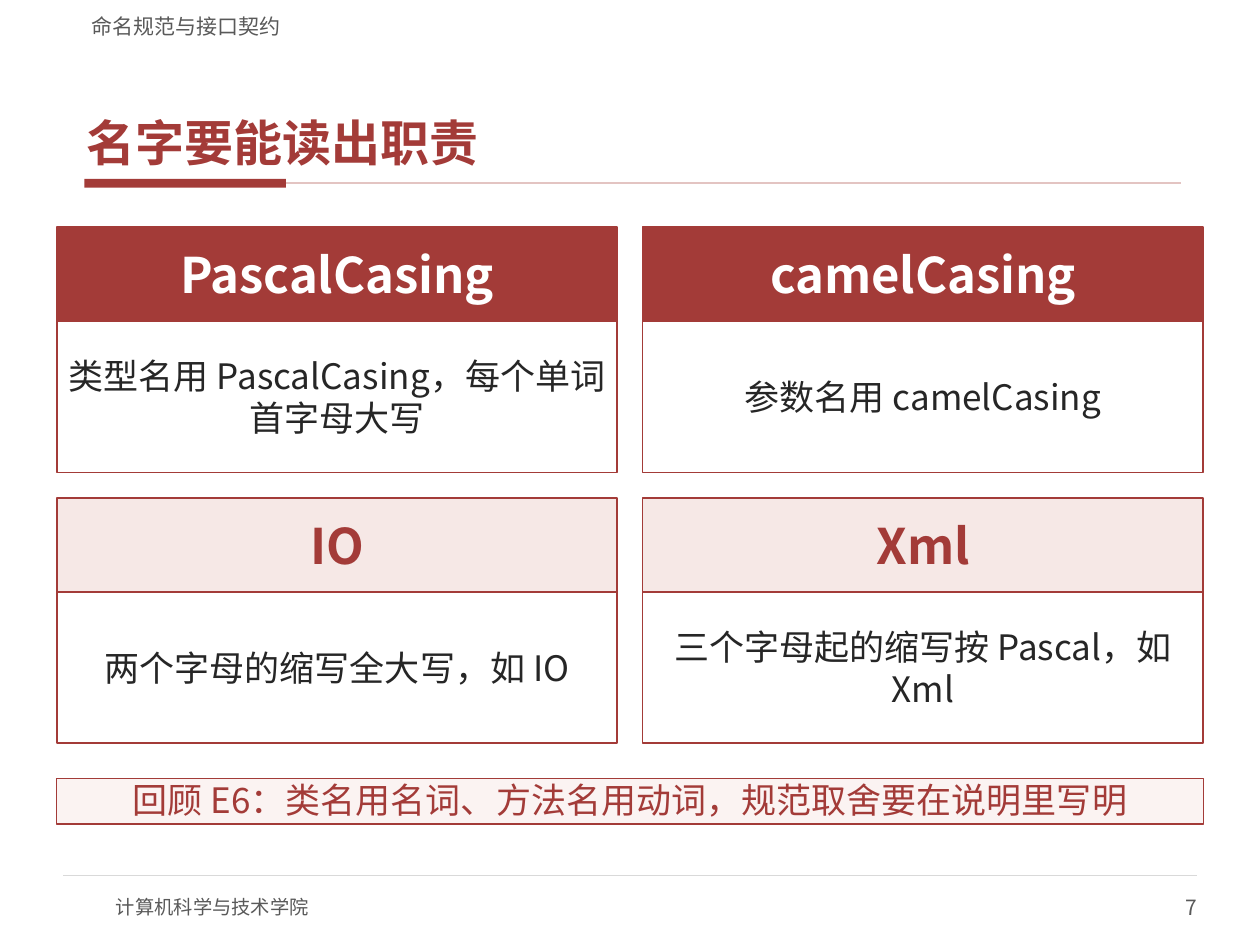
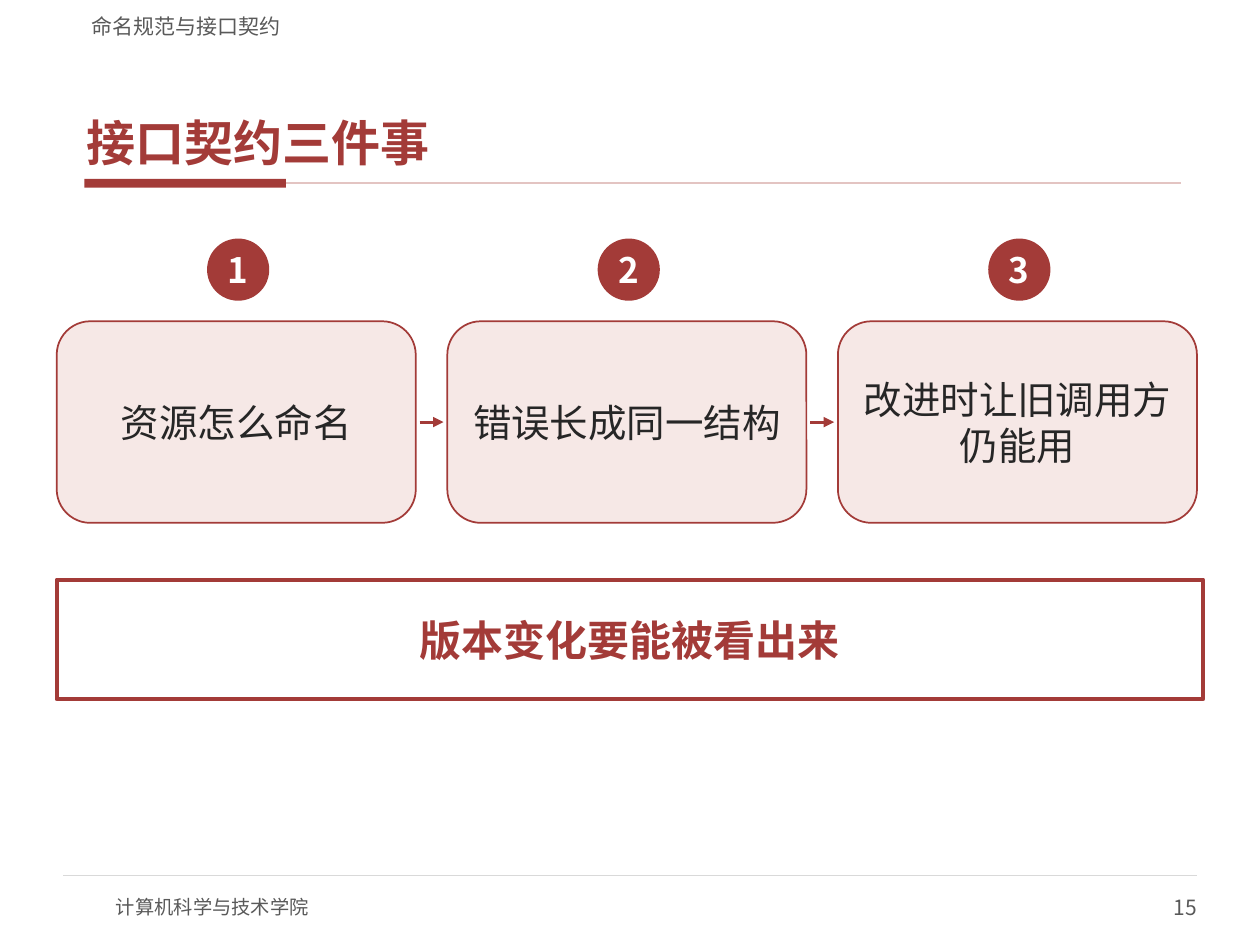
from dataclasses import dataclass

from lxml import etree
from pptx import Presentation
from pptx.dml.color import RGBColor
from pptx.enum.shapes import MSO_CONNECTOR, MSO_SHAPE
from pptx.enum.text import MSO_ANCHOR, PP_ALIGN
from pptx.oxml.ns import qn
from pptx.util import Inches, Pt

RECT, ROUND, OVAL = MSO_SHAPE.RECTANGLE, MSO_SHAPE.ROUNDED_RECTANGLE, MSO_SHAPE.OVAL
STRAIGHT = MSO_CONNECTOR.STRAIGHT
TOP, MIDDLE, BOTTOM = MSO_ANCHOR.TOP, MSO_ANCHOR.MIDDLE, MSO_ANCHOR.BOTTOM
LEFT, CENTER, RIGHT = PP_ALIGN.LEFT, PP_ALIGN.CENTER, PP_ALIGN.RIGHT

# Grid of 20 columns by 15 rows, and the content area on it
COLS, ROWS = 20, 15
EDGE, WIDTH, GAP = 0.9, 18.2, 0.4

# Text insets in inches: horizontal, vertical
FLUSH, PADDED = (0, 0), (0.08, 0.04)


@dataclass(frozen=True)
class Theme:
    font: str = "Noto Sans CJK SC"
    accent: str = "A33B38"
    tint: str = "F6E8E6"
    pale: str = "FBF3F2"
    rule: str = "E3C4C2"
    divider: str = "D9D9D9"
    white: str = "FFFFFF"
    ink: str = "262626"
    grey: str = "595959"
    title: int = 28
    heading: int = 28
    message: int = 24
    step: int = 22
    body: int = 20
    small: int = 12
    school: int = 11


class Deck:
    def __init__(self, theme):
        self.theme = theme
        self.prs = Presentation()
        self.prs.slide_width, self.prs.slide_height = Inches(10), Inches(7.5)
        self.s = None

    def x(self, cols):
        return round(self.prs.slide_width * cols / COLS)

    def y(self, rows):
        return round(self.prs.slide_height * rows / ROWS)

    def box(self, left, top, width, height):
        return self.x(left), self.y(top), self.x(width), self.y(height)

    def label(self, sp, text, size, color, bold=False, align=CENTER,
              anchor=MIDDLE, insets=PADDED, after=None):
        tf = sp.text_frame
        tf.word_wrap = True
        tf.vertical_anchor = anchor
        tf.margin_left = tf.margin_right = Inches(insets[0])
        tf.margin_top = tf.margin_bottom = Inches(insets[1])
        tf.text = text
        p = tf.paragraphs[0]
        p.alignment = align
        if after is not None:
            p.space_after = Pt(after)
        r = p.runs[0]
        r.font.size, r.font.bold = Pt(size), bold
        r.font.color.rgb = RGBColor.from_string(color)
        r.font.name = self.theme.font
        # East Asian typeface, which follows the Latin one
        ea = etree.SubElement(r._r.get_or_add_rPr(), qn("a:ea"))
        ea.set("typeface", self.theme.font)

    def text(self, place, text, size, color, **style):
        sp = self.s.shapes.add_textbox(*self.box(*place))
        self.label(sp, text, size, color, **style)

    def shape(self, kind, place, fill, line_width=1):
        sp = self.s.shapes.add_shape(kind, *self.box(*place))
        sp.shadow.inherit = False
        sp.fill.solid()
        sp.fill.fore_color.rgb = RGBColor.from_string(fill)
        if line_width:
            sp.line.color.rgb = RGBColor.from_string(self.theme.accent)
            sp.line.width = Pt(line_width)
        else:
            sp.line.fill.background()
        return sp

    def line(self, start, end, row, color, width, arrow=False):
        sp = self.s.shapes.add_connector(
            STRAIGHT, self.x(start), self.y(row), self.x(end), self.y(row))
        sp.line.color.rgb = RGBColor.from_string(color)
        sp.line.width = Pt(width)
        props = sp._element.spPr
        if arrow:
            etree.SubElement(props.find(qn("a:ln")), qn("a:tailEnd"), type="triangle")
        etree.SubElement(props, qn("a:effectLst"))

    def new_slide(self, title, number):
        """Add a slide with the header, title, rules and footer."""
        t = self.theme
        self.s = self.prs.slides.add_slide(self.prs.slide_layouts[6])
        # Title and the rule under it
        self.shape(RECT, (1.34, 2.84, 3.2, 0.14), t.accent, line_width=0)
        self.line(4.54, 18.74, 2.91, t.rule, 1)
        self.text((1.26, 0.66, 17.5, 2.1), title, t.title, t.accent, bold=True,
                  align=LEFT, anchor=BOTTOM, insets=(0.06, 0.02), after=2)
        # Running header
        self.text((1.26, 0.08, 17.5, 0.54), "命名规范与接口契约", t.small, t.grey,
                  align=LEFT, anchor=BOTTOM, insets=(0.1, 0))
        # Footer
        self.line(1, 19, 13.9, t.divider, 0.75)
        self.text((1.84, 14, 8, 0.8), "计算机科学与技术学院", t.school, t.grey,
                  align=LEFT, insets=FLUSH)
        self.text((15, 14, 4, 0.8), str(number), t.small, t.grey,
                  align=RIGHT, insets=FLUSH)

    def card(self, left, top, width, heading, body, fill, color):
        t = self.theme
        head_rows, body_rows = 1.5, 2.4
        head = self.shape(RECT, (left, top, width, head_rows), fill)
        self.label(head, heading, t.heading, color, bold=True)
        panel = self.shape(RECT, (left, top + head_rows, width, body_rows), t.white)
        self.label(panel, body, t.body, t.ink)

    def step(self, left, top, width, height, number, text):
        t = self.theme
        badge = self.shape(OVAL, (left + 2.4, top - 1.3, 0.96, 0.96), t.accent)
        self.label(badge, str(number), t.body, t.white, bold=True, insets=FLUSH)
        panel = self.shape(ROUND, (left, top, width, height), t.tint)
        self.label(panel, text, t.step, t.ink)


def naming_slide(deck):
    t = deck.theme
    deck.new_slide("名字要能读出职责", 7)
    # Two by two cards: casing rules above, abbreviations below
    cards = [
        ("PascalCasing", "类型名用 PascalCasing，每个单词首字母大写"),
        ("camelCasing", "参数名用 camelCasing"),
        ("IO", "两个字母的缩写全大写，如 IO"),
        ("Xml", "三个字母起的缩写按 Pascal，如 Xml"),
    ]
    looks = [(t.accent, t.white), (t.tint, t.accent)]
    width = (WIDTH - GAP) / 2
    for i, (heading, body) in enumerate(cards):
        row, col = divmod(i, 2)
        deck.card(EDGE + col * (width + GAP), 3.6 + row * 4.3, width,
                  heading, body, *looks[row])
    # Recap strip
    recap = deck.shape(RECT, (EDGE, 12.36, WIDTH, 0.72), t.pale, 0.75)
    deck.label(recap, "回顾 E6：类名用名词、方法名用动词，规范取舍要在说明里写明",
               t.body, t.accent, anchor=TOP, insets=FLUSH)


def contract_slide(deck):
    t = deck.theme
    deck.new_slide("接口契约三件事", 15)
    # Three steps joined by arrows
    steps = ["资源怎么命名", "错误长成同一结构", "改进时让旧调用方仍能用"]
    top, width, height, gap, inset = 5.1, 5.7, 3.2, 0.5, 0.06
    for i, text in enumerate(steps):
        left = EDGE + i * (width + gap)
        deck.step(left, top, width, height, i + 1, text)
        if i:
            deck.line(left - gap + inset, left - inset, top + height / 2,
                      t.accent, 1.75, arrow=True)
    # Key message
    message = deck.shape(RECT, (EDGE, 9.2, WIDTH, 1.9), t.white, 2.25)
    deck.label(message, "版本变化要能被看出来", t.message, t.accent, bold=True)


def main():
    deck = Deck(Theme())
    naming_slide(deck)
    contract_slide(deck)
    deck.prs.save("out.pptx")


if __name__ == "__main__":
    main()
